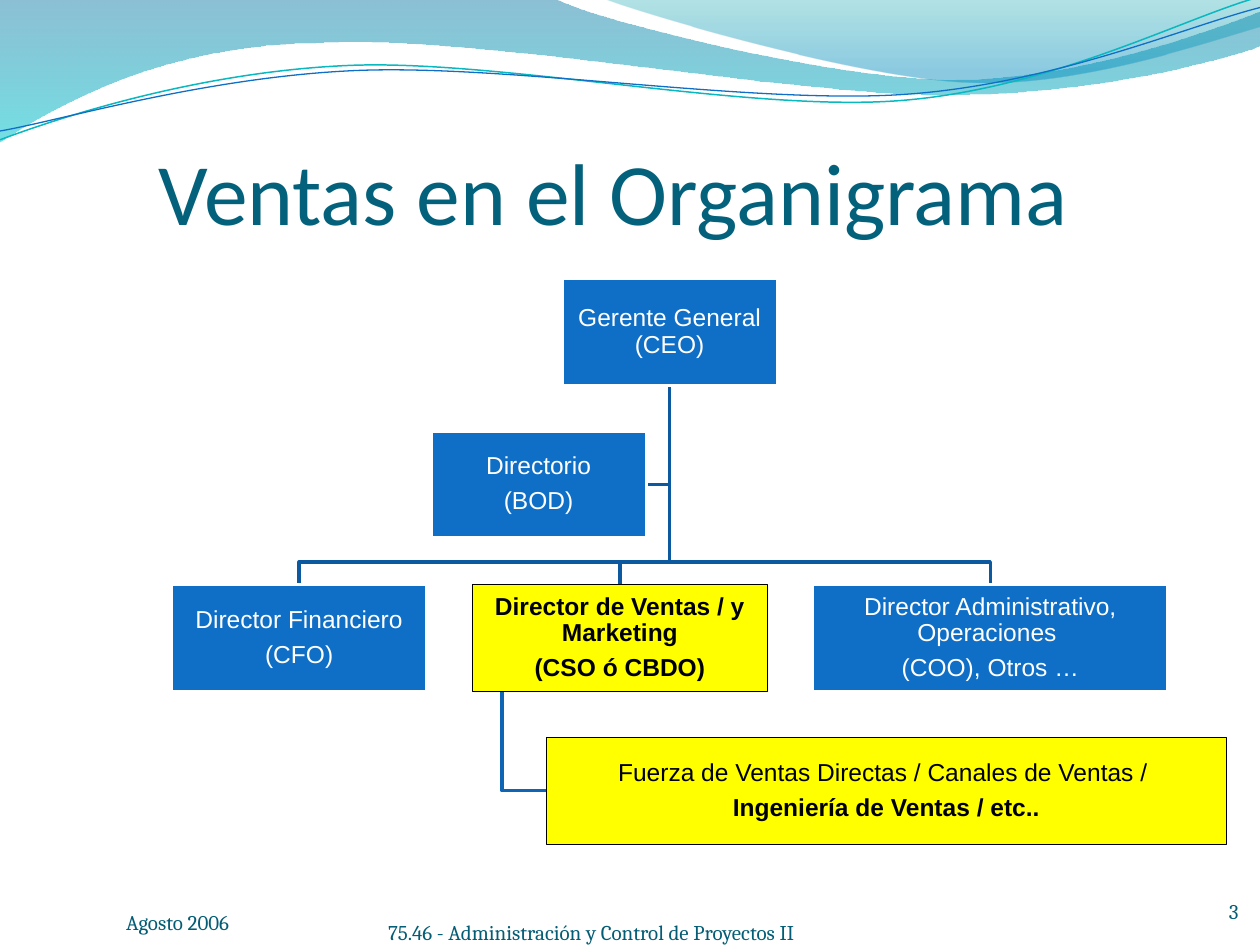
from dataclasses import dataclass

from lxml import etree
from pptx import Presentation
from pptx import util as u
from pptx.dml.color import RGBColor
from pptx.enum import shapes, text
from pptx.oxml.ns import qn


@dataclass(frozen=True)
class Theme:
    heading: str = "04617B"
    footer: str = "045D75"
    blue: str = "0F6FC6"
    link: str = "0C599F"
    sublink: str = "0E65B4"
    teal: str = "0AB8BF"
    yellow: str = "FFFF00"
    white: str = "FFFFFF"
    black: str = "000000"
    wave: tuple = ((0, "0074A1", 45), (100, "00C6CF", 55))
    crest: tuple = ((0, "00A1A9", 30), (80, "008BBF", 45))
    heading_font: str = "Calibri"
    footer_font: str = "Cambria"
    box_font: str = "Arial"
    heading_size: int = 50
    footer_size: int = 12
    box_size: int = 14


def write(frame, lines, *, font, size, color, align=text.PP_ALIGN.LEFT,
          anchor=text.MSO_ANCHOR.BOTTOM, insets=(0, 0, 0, 0),
          bold=(), spacing=None, after=0):
    frame.word_wrap = True
    frame.vertical_anchor = anchor
    (frame.margin_left, frame.margin_top,
     frame.margin_right, frame.margin_bottom) = map(u.Inches, insets)
    for index, line in enumerate(lines):
        paragraph = frame.add_paragraph() if index else frame.paragraphs[0]
        paragraph.alignment = align
        paragraph.line_spacing = spacing
        paragraph.space_after = u.Pt(after)
        run = paragraph.add_run()
        run.text = line
        run.font.name = font
        run.font.size = u.Pt(size)
        run.font.bold = index in bold
        run.font.color.rgb = RGBColor.from_string(color)


def bend(shape, segments):
    legs = iter(list(shape._element.iter(qn("a:lnTo"))))
    for segment in segments:
        first, *others = [next(legs) for _ in range(len(segment) // 2)]
        if others:
            first.tag = qn("a:cubicBezTo")
            for leg in others:
                first.append(leg[0])
                leg.getparent().remove(leg)


class Board:
    def __init__(self, slide, theme):
        self.slide = slide
        self.theme = theme

    def outline(self, segments, closed):
        start, *rest = [
            (u.Inches(x), u.Inches(y))
            for segment in segments for x, y in zip(segment[::2], segment[1::2])]
        builder = self.slide.shapes.build_freeform(*start, scale=1.0)
        builder.add_line_segments(rest, close=closed)
        shape = builder.convert_to_shape()
        bend(shape, segments[1:])
        shape.shadow.inherit = False
        return shape

    def stroke(self, segments, color, width):
        shape = self.outline(segments, closed=False)
        shape.fill.background()
        shape.line.color.rgb = RGBColor.from_string(color)
        shape.line.width = u.Pt(width)

    def band(self, segments, stops):
        shape = self.outline(segments, closed=True)
        shape.line.fill.background()
        shape.fill.gradient()
        shape.fill.gradient_angle = 270
        for stop, (position, color, _) in zip(shape.fill.gradient_stops, stops):
            stop.position = position / 100
            stop.color.rgb = RGBColor.from_string(color)
        tints = list(shape._element.spPr.iter(qn("a:srgbClr")))
        for tint, (_, _, opacity) in zip(tints, stops):
            etree.SubElement(tint, qn("a:alpha")).set("val", str(opacity * 1000))

    def label(self, place, line, **style):
        box = self.slide.shapes.add_textbox(*map(u.Inches, place))
        write(box.text_frame, [line], **style)

    def role(self, place, lines, highlight=False, bold=()):
        theme = self.theme
        fill, border, width, ink = (
            (theme.yellow, theme.black, 0.5, theme.black) if highlight
            else (theme.blue, theme.white, 2, theme.white))
        box = self.slide.shapes.add_shape(
            shapes.MSO_SHAPE.RECTANGLE, *map(u.Inches, place))
        box.shadow.inherit = False
        box.fill.solid()
        box.fill.fore_color.rgb = RGBColor.from_string(fill)
        box.line.color.rgb = RGBColor.from_string(border)
        box.line.width = u.Pt(width)
        write(box.text_frame, lines, font=theme.box_font, size=theme.box_size,
              color=ink, align=text.PP_ALIGN.CENTER, anchor=text.MSO_ANCHOR.MIDDLE,
              insets=(0.01,) * 4, bold=bold, spacing=0.9, after=0.35 * theme.box_size)


def draw_waves(board):
    theme = board.theme
    board.band([(0, -0.01), (4.4, -0.01),
                (4.76, 0.17, 6.64, 0.63, 7.58, 0.63),
                (8.53, 0.63, 9.58, 0.26, 10, 0.09),
                (10.01, 0.36),
                (9.83, 0.44, 8.7, 0.76, 7.46, 0.75),
                (6.22, 0.75, 3.82, 0.28, 2.57, 0.34),
                (1.29, 0.35, 0.46, 0.83, -0.01, 1.13),
                (0, -0.01)], theme.wave)
    board.band([(4.79, -0.01),
                (5.09, 0.11, 6.82, 0.62, 7.69, 0.65),
                (8.56, 0.69, 9.61, 0.32, 10, 0.21),
                (10, 0), (4.79, -0.01)], theme.crest)
    board.stroke([(0, 1.11),
                  (0.48, 0.93, 1.58, 0.57, 2.77, 0.52),
                  (3.95, 0.47, 5.93, 0.89, 7.13, 0.8),
                  (8.33, 0.71, 9.38, 0.15, 9.98, -0.02)], theme.teal, 0.85)
    board.stroke([(0, 1.04),
                  (0.47, 0.96, 1.64, 0.61, 2.83, 0.56),
                  (4.03, 0.51, 5.97, 0.83, 7.17, 0.75),
                  (8.36, 0.67, 9.41, 0.21, 10, 0.06)], theme.blue, 0.75)


def draw_labels(board):
    theme = board.theme
    board.label((1.26, 0.68, 8.52, 1.25), "Ventas en el Organigrama",
                font=theme.heading_font, size=theme.heading_size,
                color=theme.heading, insets=(0, 0.05, 0, 0))
    footer = dict(font=theme.footer_font, size=theme.footer_size, color=theme.footer)
    board.label((1, 6.92, 2.08, 0.5), "Agosto 2006", **footer)
    board.label((3.08, 6.92, 4.5, 0.58),
                "75.46 - Administración y Control de Proyectos II", **footer)
    board.label((7.75, 6.83, 2.08, 0.5), "3", align=text.PP_ALIGN.RIGHT, **footer)


def draw_chart(board):
    theme = board.theme
    height, directors_top, branch_y = 0.85, 4.64, 4.46
    ceo = (4.46, 2.21, 1.71, height)
    directory = (3.42, 3.42, 1.71, height)
    finance, sales, operations = (
        (left, directors_top, width, height)
        for left, width in ((1.36, 2.03), (3.75, 2.34), (6.45, 2.82)))
    sales_force = (4.34, 5.85, 5.39, height)

    trunk_x, trunk_y = ceo[0] + ceo[2] / 2, ceo[1] + height
    directory_y = directory[1] + height / 2
    drop_x, force_y = sales[0] + sales[2] / 10, sales_force[1] + height / 2

    def branch(director):
        middle = director[0] + director[2] / 2
        board.stroke([(trunk_x, trunk_y), (trunk_x, branch_y),
                      (middle, branch_y), (middle, directors_top)], theme.link, 2)

    board.stroke([(trunk_x, trunk_y), (trunk_x, directory_y),
                  (directory[0] + directory[2], directory_y)], theme.link, 2)
    branch(operations)
    board.stroke([(drop_x, directors_top + height), (drop_x, force_y),
                  (sales_force[0], force_y)], theme.sublink, 2)
    branch(sales)
    branch(finance)

    board.role(ceo, ["Gerente General (CEO)"])
    board.role(finance, ["Director Financiero", "(CFO)"])
    board.role(sales, ["Director de Ventas / y Marketing", "(CSO ó CBDO)"],
               highlight=True, bold=(0, 1))
    board.role(sales_force, ["Fuerza de Ventas Directas / Canales de Ventas / ",
                             "Ingeniería de Ventas / etc.."],
               highlight=True, bold=(1,))
    board.role(operations, ["Director Administrativo, Operaciones ",
                            "(COO), Otros …"])
    board.role(directory, ["Directorio", "(BOD)"])


def main():
    deck = Presentation()
    deck.slide_width, deck.slide_height = u.Inches(10), u.Inches(7.5)
    board = Board(deck.slides.add_slide(deck.slide_layouts[6]), Theme())
    draw_waves(board)
    draw_labels(board)
    draw_chart(board)
    deck.save("out.pptx")


if __name__ == "__main__":
    main()
